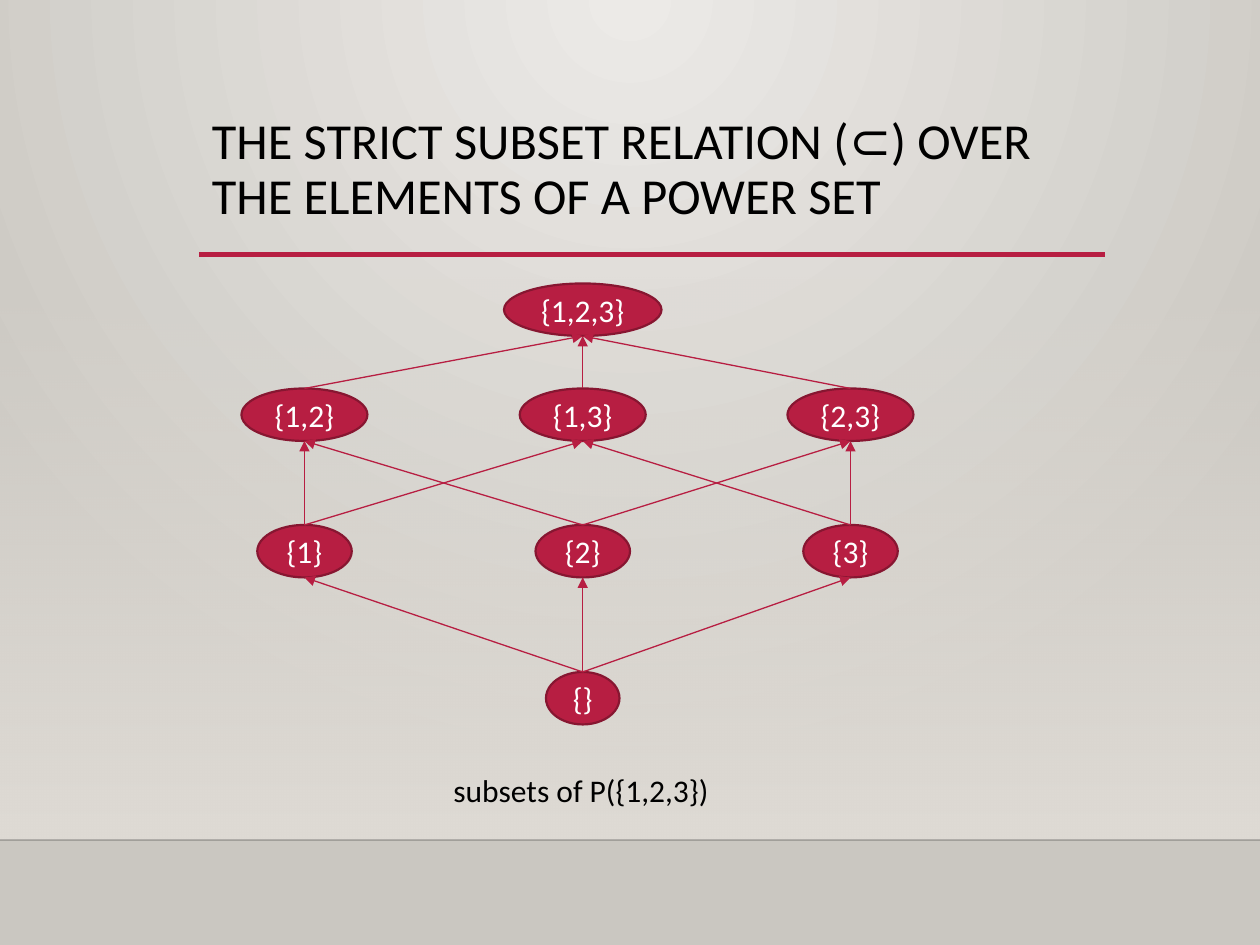
import pptx
import pptx.util
import pptx.oxml
import pptx.oxml.ns
import pptx.dml.color
import pptx.enum.shapes
import pptx.enum.text

PX = 9525  # EMU per px, 96 px to the inch
HEX = {"red": "B71E42", "dark": "871631", "white": "FFFFFF", "black": "000000",
       "edge": "000001", "light": "ECEAE7", "grey": "CAC7C1", "sand": "DFDBD5"}
NS = pptx.oxml.ns.nsdecls("a")
KIND = pptx.enum.shapes.MSO_SHAPE
ALIGN = pptx.enum.text.PP_ALIGN
ANCHOR = pptx.enum.text.MSO_ANCHOR

# Column centres, and rows of the lattice: top, node width, {label: column}
COLS = (80, 292, 496)
ROWS = ((0, 120, {"{1,2,3}": 1}),
        (80, 96, {"{1,2}": 0, "{1,3}": 1, "{2,3}": 2}),
        (184, 72, {"{1}": 0, "{2}": 1, "{3}": 2}),
        (296, 56, {"{}": 1}))
TALL = 40


def emu(*vals):
    return [val * PX for val in vals]


def color(name):
    return pptx.dml.color.RGBColor.from_string(HEX[name])


def apply(item, form):
    for key, val in form.items():
        setattr(item, key, val)


def write(shape, text, size, tint, frame, para):
    """Put one styled paragraph in a shape."""
    apply(shape.text_frame, frame)
    first = shape.text_frame.paragraphs[0]
    run = first.add_run()
    run.text = text
    apply(first, para)
    apply(run.font, {"size": pptx.util.Pt(size), "name": "Calibri"})
    run.font.color.rgb = color(tint)


def blend(fill, root, stops, shade):
    """Swap a solid fill under root for a gradient of (place, colour, alpha)."""
    fill.solid()
    marks = "".join(
        f'<a:gs pos="{pos * 1000}"><a:srgbClr val="{HEX[name]}">'
        f'<a:alpha val="{alpha * 1000}"/></a:srgbClr></a:gs>'
        for pos, name, alpha in stops)
    grad = pptx.oxml.parse_xml(
        f'<a:gradFill {NS} rotWithShape="1"><a:gsLst>{marks}</a:gsLst>{shade}</a:gradFill>')
    solid = next(root.iter(pptx.oxml.ns.qn("a:solidFill")))
    solid.getparent().replace(solid, grad)


def link(slide, start, end, tint, width):
    """Draw a straight line without a shadow."""
    line = slide.shapes.add_connector(
        pptx.enum.shapes.MSO_CONNECTOR.STRAIGHT, *emu(*start, *end))
    line.line.color.rgb = color(tint)
    line.line.width = pptx.util.Pt(width)
    line._element.spPr.append(pptx.oxml.parse_xml(f"<a:effectLst {NS}/>"))
    return line


def wall(slide, left, top, width, height):
    """Backdrop glow, fading panel and floor edge."""
    blend(slide.background.fill, slide._element.cSld,
          ((0, "light", 100), (100, "grey", 100)),
          '<a:path path="circle"><a:fillToRect l="43000" r="43000" b="100000"/></a:path>')
    panel = slide.shapes.add_shape(KIND.RECTANGLE, *emu(left, top, width, height))
    panel.shadow.inherit = False
    panel.line.fill.background()
    blend(panel.fill, panel._element.spPr,
          ((0, "sand", 0), (100, "sand", 100)), '<a:lin ang="5400000" scaled="0"/>')
    base = top + height
    edge = link(slide, (left, base), (left + width, base), "edge", 1)
    tone = next(edge._element.iter(pptx.oxml.ns.qn("a:srgbClr")))
    tone.append(pptx.oxml.parse_xml(f'<a:alpha {NS} val="20000"/>'))


def head(slide, left, top, width, height):
    """Title with the red rule beneath."""
    base = top + height
    link(slide, (left, base), (left + width, base), "red", 2.5)
    box = slide.shapes.add_textbox(*emu(left, top, width, height))
    write(box, "THE STRICT SUBSET RELATION (⊂) OVER THE ELEMENTS OF A POWER SET",
          28.8, "black", {"word_wrap": True, "vertical_anchor": ANCHOR.TOP},
          {"line_spacing": 0.9})


def node(slide, mid, top, width, label):
    oval = slide.shapes.add_shape(KIND.OVAL, *emu(mid - width // 2, top, width, TALL))
    oval.shadow.inherit = False
    oval.fill.solid()
    oval.fill.fore_color.rgb = color("red")
    oval.line.color.rgb = color("dark")
    oval.line.width = pptx.util.Pt(1.25)
    write(oval, label, 18, "white",
          {"word_wrap": False, "vertical_anchor": ANCHOR.MIDDLE},
          {"alignment": ALIGN.CENTER})
    return oval


def graph(slide, left, top):
    """Ovals row by row, then an arrow from each set to its supersets above."""
    ranks = []
    for down, width, sets in ROWS:
        ranks.append([(set(label) - set("{,}"), left + COLS[col], top + down,
                       node(slide, left + COLS[col], top + down, width, label))
                      for label, col in sets.items()])
    for upper, lower in zip(ranks, ranks[1:]):
        for small, x, y, oval in lower:
            for large, goal, roof, _ in upper:
                if small < large:
                    arrow = link(slide, (x, y), (goal, roof + TALL), "red", 0.75)
                    arrow.begin_connect(oval, 0)
                    arrow.line._get_or_add_ln().append(
                        pptx.oxml.parse_xml(f'<a:tailEnd {NS} type="triangle"/>'))


def note(slide, left, top, width, height):
    """Caption below the lattice."""
    box = slide.shapes.add_textbox(*emu(left, top, width, height))
    write(box, "subsets of P({1,2,3})", 18, "black",
          {"word_wrap": False,
           "auto_size": pptx.enum.text.MSO_AUTO_SIZE.SHAPE_TO_FIT_TEXT}, {})


def main():
    deck = pptx.Presentation()
    apply(deck, {"slide_width": 960 * PX, "slide_height": 720 * PX})
    slide = deck.slides.add_slide(deck.slide_layouts[6])
    wall(slide, 0, 211, 960, 429)
    head(slide, 152, 84, 690, 110)
    graph(slide, 152, 216)
    note(slide, 336, 583, 216, 38)
    deck.save("out.pptx")


if __name__ == "__main__":
    main()
